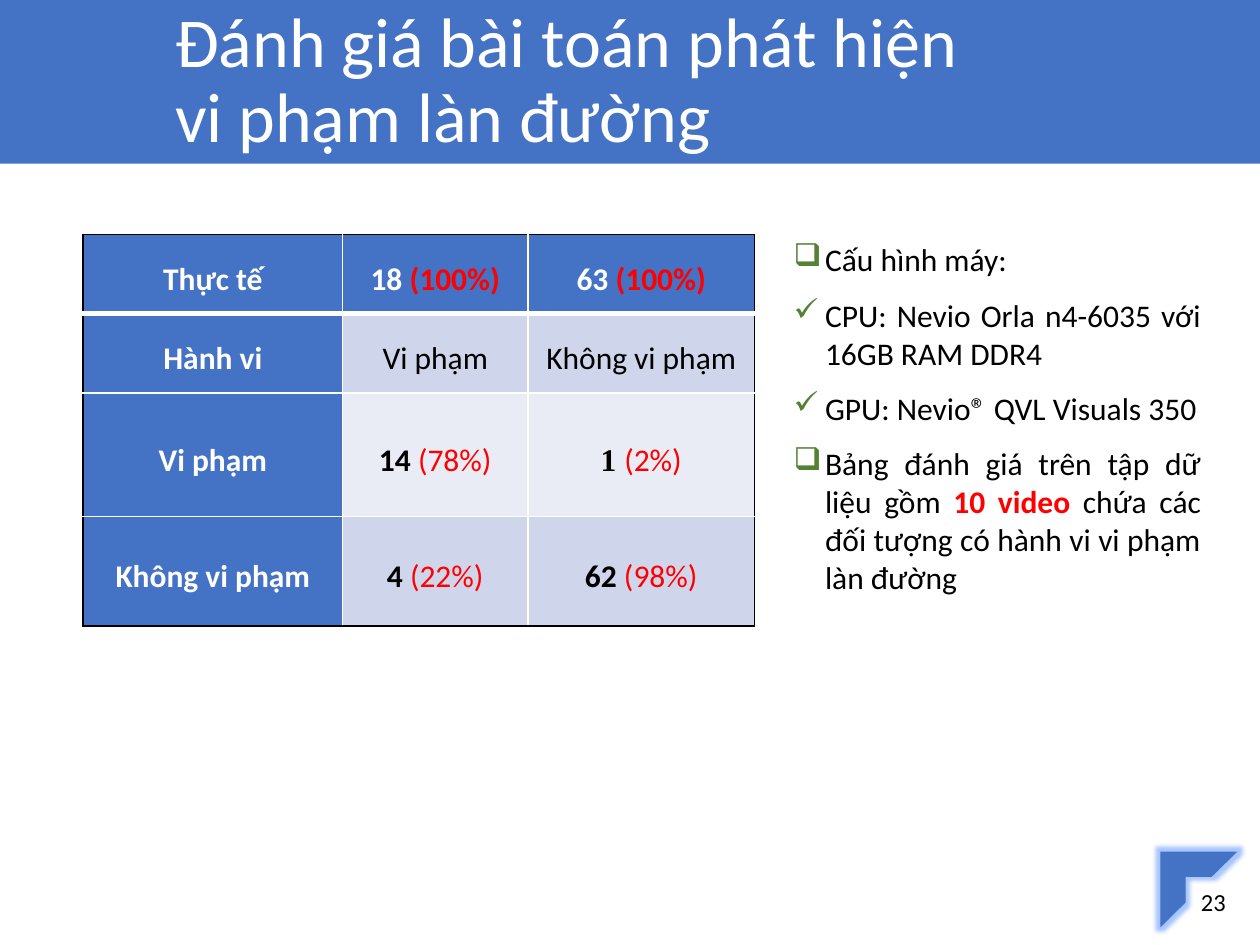
from dataclasses import dataclass

from lxml import etree
from pptx import Presentation
from pptx.dml.color import RGBColor
from pptx.enum.shapes import MSO_SHAPE
from pptx.enum.text import MSO_ANCHOR, MSO_AUTO_SIZE, PP_ALIGN
from pptx.oxml.ns import qn
from pptx.util import Inches, Pt

RECT, HALF_FRAME = MSO_SHAPE.RECTANGLE, MSO_SHAPE.HALF_FRAME
MIDDLE, TOP = MSO_ANCHOR.MIDDLE, MSO_ANCHOR.TOP
LEFT, CENTER, JUSTIFY = PP_ALIGN.LEFT, PP_ALIGN.CENTER, PP_ALIGN.JUSTIFY
NO_FIT = MSO_AUTO_SIZE.NONE


@dataclass(frozen=True)
class Theme:
    """Colours, fonts and type sizes of the slide."""

    accent: str = "4472C4"
    bands: tuple = ("CFD5EA", "E9EBF5")
    glow: str = "A8C6FF"
    bullet: str = "548235"
    red: str = "FF0000"
    black: str = "000000"
    white: str = "FFFFFF"
    font: str = "Calibri"
    serif: str = "Times New Roman"
    title: int = 40
    body: int = 18
    number: int = 14


def set_attrs(obj, values):
    """Set each named value on an object."""
    for name, value in values.items():
        setattr(obj, name, value)


def sub(parent, tag, **attrs):
    """Append a drawing element with attributes."""
    return etree.SubElement(parent, qn(tag), {k: str(v) for k, v in attrs.items()})


class SlideBuilder:
    """Holds the theme and the current slide."""

    def __init__(self, slide, theme):
        """Keep the slide and its theme."""
        self.s = slide
        self.t = theme

    def run(self, p, text, size, color, bold=False, font=None):
        """Add one formatted run to a paragraph."""
        r = p.add_run()
        r.text = text
        set_attrs(r.font, {"name": font or self.t.font, "size": Pt(size), "bold": bold})
        r.font.color.rgb = RGBColor.from_string(color)

    def shape(self, kind, box, glow=0):
        """Add an accent shape, with a glow if one is given."""
        sp = self.s.shapes.add_shape(kind, *map(Inches, box))
        sp.shadow.inherit = False
        sp.fill.solid()
        sp.fill.fore_color.rgb = RGBColor.from_string(self.t.accent)
        sp.line.fill.background()
        if glow:
            effects = sp._element.spPr.find(qn("a:effectLst"))
            sub(sub(effects, "a:glow", rad=Pt(glow)), "a:srgbClr", val=self.t.glow)

    def title(self, lines, box):
        """Place and format the title above the band."""
        sp = self.s.shapes.title
        sp._element.getparent().append(sp._element)
        set_attrs(sp, dict(zip(("left", "top", "width", "height"), map(Inches, box))))
        tf = sp.text_frame
        set_attrs(tf, {"word_wrap": True, "auto_size": NO_FIT, "vertical_anchor": MIDDLE})
        p = tf.paragraphs[0]
        set_attrs(p, {"alignment": LEFT, "line_spacing": 0.9})
        for i, line in enumerate(lines):
            if i:
                p.add_line_break()
            self.run(p, line, self.t.title, self.t.white)

    def text_box(self, box, anchor):
        """Add a wrapping text box and return its frame."""
        tf = self.s.shapes.add_textbox(*map(Inches, box)).text_frame
        set_attrs(tf, {"word_wrap": True, "vertical_anchor": anchor})
        return tf

    def page_number(self, number, box):
        """Add the centred page number."""
        p = self.text_box(box, MIDDLE).paragraphs[0]
        p.alignment = CENTER
        self.run(p, number, self.t.number, self.t.black)

    def bullets(self, items, box):
        """Add justified paragraphs with coloured bullets."""
        tf = self.text_box(box, TOP)
        for i, (mark, runs) in enumerate(items):
            p = tf.add_paragraph() if i else tf.paragraphs[0]
            p.alignment = JUSTIFY
            if i:
                p.space_before = Pt(10)
            pPr = p._p.get_or_add_pPr()
            pPr.set("marL", str(Inches(0.25)))
            pPr.set("indent", str(Inches(-0.25)))
            sub(sub(pPr, "a:buClr"), "a:srgbClr", val=self.t.bullet)
            sub(pPr, "a:buChar", char=mark)
            for text, strong in runs:
                color = self.t.red if strong else self.t.black
                self.run(p, text, self.t.body, color, strong)

    def borders(self, cell, edges, header):
        """Draw black outer and white inner cell borders."""
        tcPr = cell._tc.get_or_add_tcPr()
        for side in "LRTB":
            width = 3 if header and side == "B" else 1
            ln = sub(tcPr, f"a:ln{side}", w=Pt(width))
            color = self.t.black if side in edges else self.t.white
            sub(sub(ln, "a:solidFill"), "a:srgbClr", val=color)

    def table(self, rows, widths, heights, left, top):
        """Add the confusion table with header row and column."""
        size = (sum(widths), sum(heights))
        box = map(Inches, (left, top, *size))
        tbl = self.s.shapes.add_table(len(rows), len(widths), *box).table
        for col, width in zip(tbl.columns, widths):
            col.width = Inches(width)
        for row, height in zip(tbl.rows, heights):
            row.height = Inches(height)
        for i, row in enumerate(rows):
            for j, (label, share, *font) in enumerate(row):
                cell, head = tbl.cell(i, j), i == 0 or j == 0
                edges = {"L": j == 0, "R": j == len(widths) - 1,
                         "T": i == 0, "B": i == len(rows) - 1}
                self.borders(cell, [k for k, on in edges.items() if on], i == 0)
                cell.fill.solid()
                fill = self.t.accent if head else self.t.bands[(i + 1) % 2]
                cell.fill.fore_color.rgb = RGBColor.from_string(fill)
                set_attrs(cell, {"vertical_anchor": MIDDLE, "margin_left": Inches(0.07),
                                 "margin_right": Inches(0.07), "margin_top": 0,
                                 "margin_bottom": 0})
                p = cell.text_frame.paragraphs[0]
                set_attrs(p, {"alignment": CENTER, "line_spacing": 1.3,
                              "space_before": Pt(6), "space_after": Pt(6)})
                color = self.t.white if head else self.t.black
                bold = head or bool(share)
                self.run(p, label + " " * bool(share), self.t.body, color, bold, *font)
                if share:
                    self.run(p, f"({share})", self.t.body, self.t.red, head)


def main():
    """Build and save the slide."""
    prs = Presentation()
    set_attrs(prs, {"slide_width": Inches(10), "slide_height": Inches(7.5)})
    theme = Theme()
    b = SlideBuilder(prs.slides.add_slide(prs.slide_layouts[5]), theme)
    b.shape(RECT, (0, 0, 10, 1.3))
    b.shape(HALF_FRAME, (9.21, 6.76, 0.61, 0.6), glow=5)
    b.page_number("23", (9.26, 6.96, 0.74, 0.4))
    b.title(("Đánh giá bài toán phát hiện", "vi phạm làn đường"), (1.29, 0.01, 7.41, 1.29))
    b.bullets([
        ("❑", [("Cấu hình máy:", False)]),
        ("✓", [("CPU: Nevio Orla n4-6035 với 16GB RAM DDR4", False)]),
        ("✓", [("GPU: Nevio® QVL Visuals 350", False)]),
        ("❑", [("Bảng đánh giá trên tập dữ liệu gồm ", False), ("10 video ", True),
               ("chứa các đối tượng có hành vi vi phạm làn đường", False)]),
    ], (6.2, 1.86, 3.43, 4.4))
    b.table([
        [("Thực tế", ""), ("18", "100%"), ("63", "100%")],
        [("Hành vi", ""), ("Vi phạm", ""), ("Không vi phạm", "")],
        [("Vi phạm", ""), ("14", "78%"), ("1", "2%", theme.serif)],
        [("Không vi phạm", ""), ("4", "22%"), ("62", "98%")],
    ], (2.06, 1.47, 1.8), (0.63, 0.63, 0.98, 0.87), 0.66, 1.86)
    prs.save("out.pptx")


if __name__ == "__main__":
    main()
